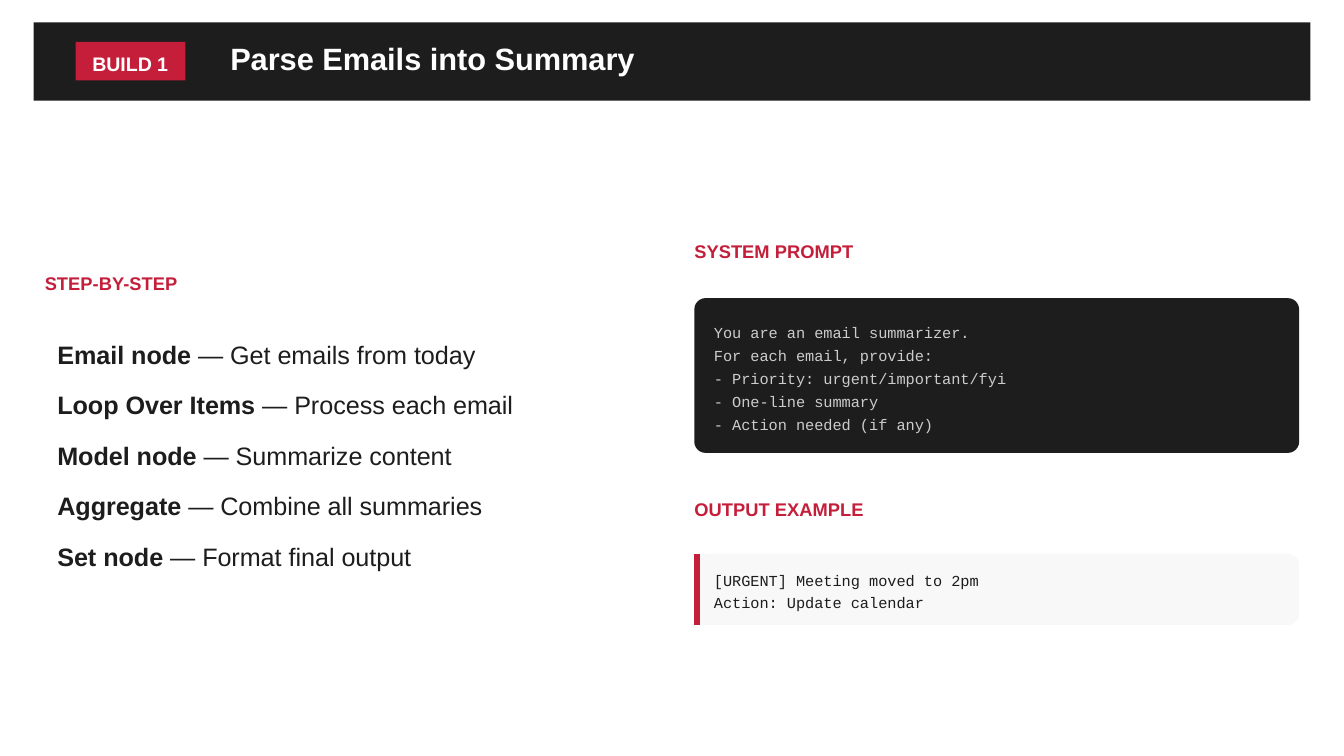
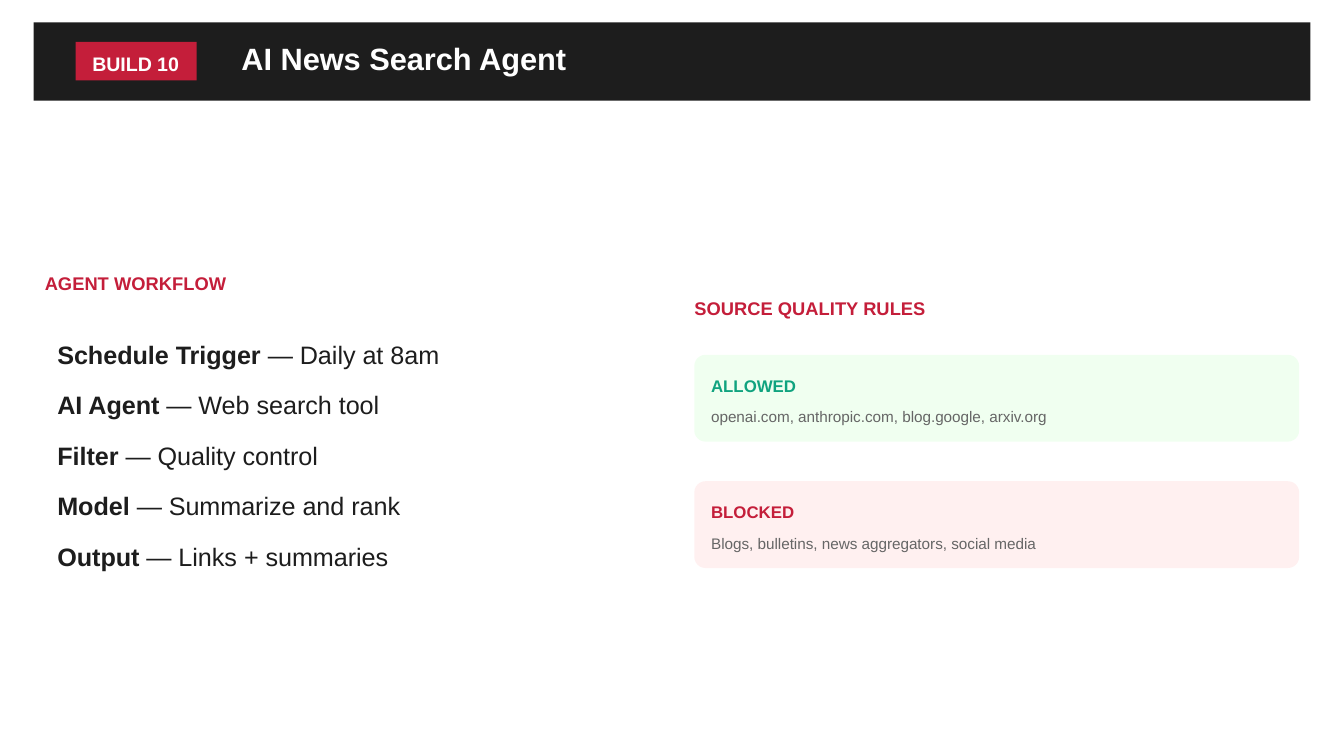
"""Build two workshop slides: a header band, a step list and a column of panels."""

from dataclasses import dataclass
from typing import Optional

from lxml.etree import SubElement
from pptx import Presentation
from pptx.dml.color import RGBColor
from pptx.enum.shapes import MSO_CONNECTOR, MSO_SHAPE
from pptx.enum.text import MSO_ANCHOR, MSO_AUTO_SIZE, PP_ALIGN
from pptx.oxml.ns import qn
from pptx.util import Inches, Pt

COLUMNS, ROWS = 960, 540
WIDTH = Inches(10)
HEIGHT = WIDTH * ROWS // COLUMNS
CELL = WIDTH / COLUMNS


@dataclass(frozen=True)
class Style:
    """Type settings of one kind of paragraph."""

    size: float
    leading: float
    color: str
    bold: bool = False
    font: str = "Arial"
    after: float = 0


@dataclass(frozen=True)
class Theme:
    """Colours and type styles shared by all slides."""

    dark: str = "1D1D1D"
    red: str = "C41E3A"
    pale: str = "F8F8F8"
    mint: str = "F0FFF0"
    rose: str = "FFF0F0"
    title: Style = Style(16.5, 16.5, "FFFFFF", True)
    badge: Style = Style(10.5, 14.7, "FFFFFF", True)
    heading: Style = Style(9.8, 13.7, "C41E3A", True, after=7.5)
    step: Style = Style(13.5, 21, "1D1D1D", after=6)
    prompt: Style = Style(8.2, 12.4, "CCCCCC", font="Courier New")
    output: Style = Style(8.2, 11.6, "1D1D1D", font="Courier New")
    allowed: Style = Style(9, 12.6, "10A37F", True, after=4.5)
    blocked: Style = Style(9, 12.6, "C41E3A", True, after=4.5)
    detail: Style = Style(8.2, 11.6, "666666")


THEME = Theme()


@dataclass(frozen=True)
class Area:
    """A rectangle in grid columns and rows."""

    left: float
    top: float
    width: float
    height: float

    def lengths(self) -> tuple[int, ...]:
        """Return the four sides in slide units."""
        return tuple(cells(side) for side in (self.left, self.top, self.width, self.height))


@dataclass(frozen=True)
class Line:
    """One paragraph, with an optional bold lead."""

    text: str
    style: Style
    lead: str = ""


@dataclass(frozen=True)
class Panel:
    """A rounded box of text in the right column."""

    top: float
    height: float
    fill: str
    pad_left: float
    pad_top: float
    lines: tuple[Line, ...]
    accent: Optional[str] = None


@dataclass(frozen=True)
class Build:
    """Everything that differs from slide to slide."""

    badge: str
    badge_width: float
    title: str
    title_width: float
    steps_heading: str
    steps: tuple[tuple[str, str], ...]
    headings: tuple[tuple[float, str], ...]
    panels: tuple[Panel, ...]


LEFT_COLUMN, RIGHT_COLUMN, COLUMN_WIDTH = 32, 496, 432
BAND = Area(24, 16, 912, 56)
BADGE_LEFT, BADGE_TOP, BADGE_HEIGHT = 54, 30, 27.5
TITLE_GAP, TITLE_TOP, TITLE_HEIGHT = 32, 32.5, 22
STEPS_HEADING_TOP, STEPS_TOP, STEPS_HEIGHT = 192, 236, 188
HEADING_WIDTH, HEADING_HEIGHT = 440, 18
RADIUS = 8
ROUND_INSET = RADIUS * 0.29
ACCENT_POINTS = 3


def cells(count: float) -> int:
    """Turn grid cells into slide units."""
    return round(count * CELL)


def write(frame, lines: tuple[Line, ...], left: float = 0, top: float = 0) -> None:
    """Fill a text frame with lines, padded at the left and top."""
    frame.word_wrap = True
    frame.auto_size = MSO_AUTO_SIZE.NONE
    frame.vertical_anchor = MSO_ANCHOR.TOP
    frame.margin_left, frame.margin_top = cells(left), cells(top)
    frame.margin_right = frame.margin_bottom = 0
    for index, line in enumerate(lines):
        para = frame.paragraphs[0] if index == 0 else frame.add_paragraph()
        para.alignment = PP_ALIGN.LEFT
        para.line_spacing = Pt(line.style.leading)
        para.space_before = Pt(0)
        para.space_after = Pt(line.style.after)
        for text, bold in ((line.lead, True), (line.text, line.style.bold)):
            if text:
                span = para.add_run()
                span.text = text
                span.font.name = line.style.font
                span.font.size = Pt(line.style.size)
                span.font.bold = bold
                span.font.color.rgb = RGBColor.from_string(line.style.color)


def add_block(page, area: Area, fill: str, kind: MSO_SHAPE = MSO_SHAPE.RECTANGLE):
    """Add a plain filled shape."""
    box = page.shapes.add_shape(kind, *area.lengths())
    box.shadow.inherit = False
    box.fill.solid()
    box.fill.fore_color.rgb = RGBColor.from_string(fill)
    box.line.fill.background()
    return box


def add_text(page, area: Area, lines: tuple[Line, ...], left: float = 0) -> None:
    """Add a text box."""
    write(page.shapes.add_textbox(*area.lengths()).text_frame, lines, left)


def add_heading(page, left: float, top: float, text: str) -> None:
    """Add a red section heading."""
    area = Area(left, top, HEADING_WIDTH, HEADING_HEIGHT)
    add_text(page, area, (Line(text, THEME.heading),))


def add_accent(page, area: Area, color: str) -> None:
    """Draw a thick rule along the inner left edge of an area."""
    x = cells(area.left) + Pt(ACCENT_POINTS) // 2
    top, bottom = cells(area.top), cells(area.top + area.height)
    rule = page.shapes.add_connector(MSO_CONNECTOR.STRAIGHT, x, top, x, bottom)
    rule.line.color.rgb = RGBColor.from_string(color)
    rule.line.width = Pt(ACCENT_POINTS)
    SubElement(rule._element.spPr, qn("a:effectLst"))


def add_panel(page, panel: Panel) -> None:
    """Add a rounded panel with its text and accent."""
    area = Area(RIGHT_COLUMN, panel.top, COLUMN_WIDTH, panel.height)
    box = add_block(page, area, panel.fill, MSO_SHAPE.ROUNDED_RECTANGLE)
    box.adjustments[0] = RADIUS / panel.height
    write(box.text_frame, panel.lines, panel.pad_left - ROUND_INSET, panel.pad_top - ROUND_INSET)
    if panel.accent:
        add_accent(page, area, panel.accent)


def add_header(page, build: Build) -> None:
    """Add the dark band, the badge and the title over them."""
    add_block(page, BAND, THEME.dark)
    badge = add_block(page, Area(BADGE_LEFT, BADGE_TOP, build.badge_width, BADGE_HEIGHT), THEME.red)
    write(badge.text_frame, (Line(build.badge, THEME.badge),), 12, 4)
    title = page.shapes.title
    left = BADGE_LEFT + build.badge_width + TITLE_GAP
    area = Area(left, TITLE_TOP, build.title_width, TITLE_HEIGHT)
    title.left, title.top, title.width, title.height = area.lengths()
    write(title.text_frame, (Line(build.title, THEME.title),))
    page.shapes._spTree.append(title._element)


def add_build(deck, build: Build) -> None:
    """Add one complete slide."""
    page = deck.slides.add_slide(deck.slide_layouts.get_by_name("Title Only"))
    page.background.fill.solid()
    page.background.fill.fore_color.rgb = RGBColor.from_string("FFFFFF")
    add_header(page, build)
    add_heading(page, LEFT_COLUMN, STEPS_HEADING_TOP, build.steps_heading)
    steps = tuple(Line(f" — {text}", THEME.step, lead) for lead, text in build.steps)
    add_text(page, Area(LEFT_COLUMN, STEPS_TOP, COLUMN_WIDTH, STEPS_HEIGHT), steps, 9)
    for top, text in build.headings:
        add_heading(page, RIGHT_COLUMN, top, text)
    for panel in build.panels:
        add_panel(page, panel)


def styled(style: Style, *texts: str) -> tuple[Line, ...]:
    """Give several lines one style."""
    return tuple(Line(text, style) for text in texts)


def rule_panel(index: int, fill: str, style: Style, label: str, detail: str) -> Panel:
    """Describe one of the stacked source rules."""
    lines = (Line(label, style), Line(detail, THEME.detail))
    return Panel(253.5 + 90.3 * index, 62, fill, 12, 12.4, lines)


BUILDS = (
    Build(
        "BUILD 1", 78.5, "Parse Emails into Summary", 296, "STEP-BY-STEP",
        (
            ("Email node", "Get emails from today"),
            ("Loop Over Items", "Process each email"),
            ("Model node", "Summarize content"),
            ("Aggregate", "Combine all summaries"),
            ("Set node", "Format final output"),
        ),
        ((169, "SYSTEM PROMPT"), (353.3, "OUTPUT EXAMPLE")),
        (
            Panel(213, 110.5, THEME.dark, 14, 14.4, styled(
                THEME.prompt,
                "You are an email summarizer.",
                "For each email, provide:",
                "- Priority: urgent/important/fyi",
                "- One-line summary",
                "- Action needed (if any)",
            )),
            Panel(395.7, 50.7, THEME.pale, 14, 10.2, styled(
                THEME.output,
                "[URGENT] Meeting moved to 2pm",
                "Action: Update calendar",
            ), THEME.red),
        ),
    ),
    Build(
        "BUILD 10", 86.5, "AI News Search Agent", 237, "AGENT WORKFLOW",
        (
            ("Schedule Trigger", "Daily at 8am"),
            ("AI Agent", "Web search tool"),
            ("Filter", "Quality control"),
            ("Model", "Summarize and rank"),
            ("Output", "Links + summaries"),
        ),
        ((209.5, "SOURCE QUALITY RULES"),),
        (
            rule_panel(0, THEME.mint, THEME.allowed, "ALLOWED",
                       "openai.com, anthropic.com, blog.google, arxiv.org"),
            rule_panel(1, THEME.rose, THEME.blocked, "BLOCKED",
                       "Blogs, bulletins, news aggregators, social media"),
        ),
    ),
)


def main() -> None:
    """Build and save the deck."""
    deck = Presentation()
    deck.slide_width, deck.slide_height = WIDTH, HEIGHT
    for build in BUILDS:
        add_build(deck, build)
    deck.save("out.pptx")


if __name__ == "__main__":
    main()
